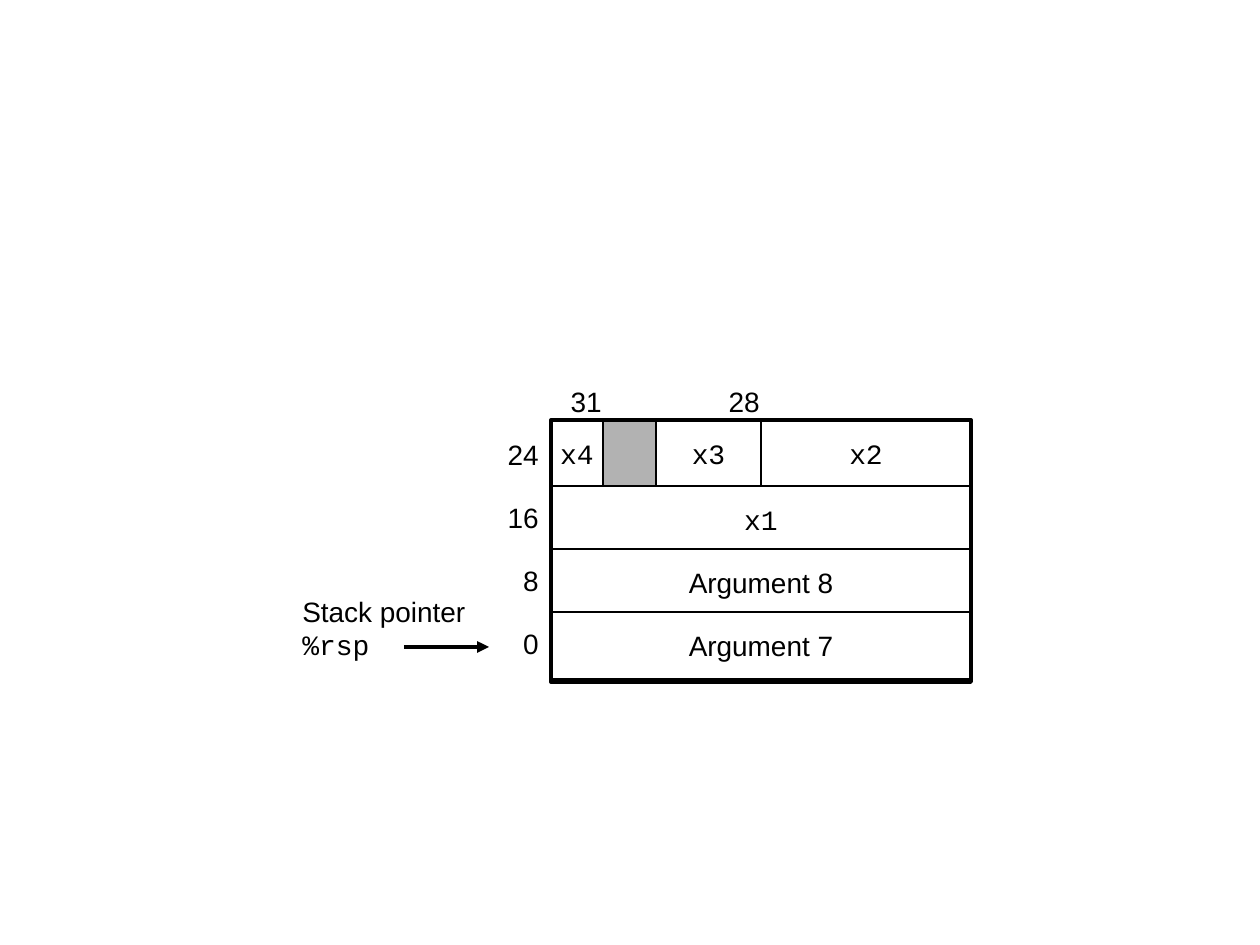
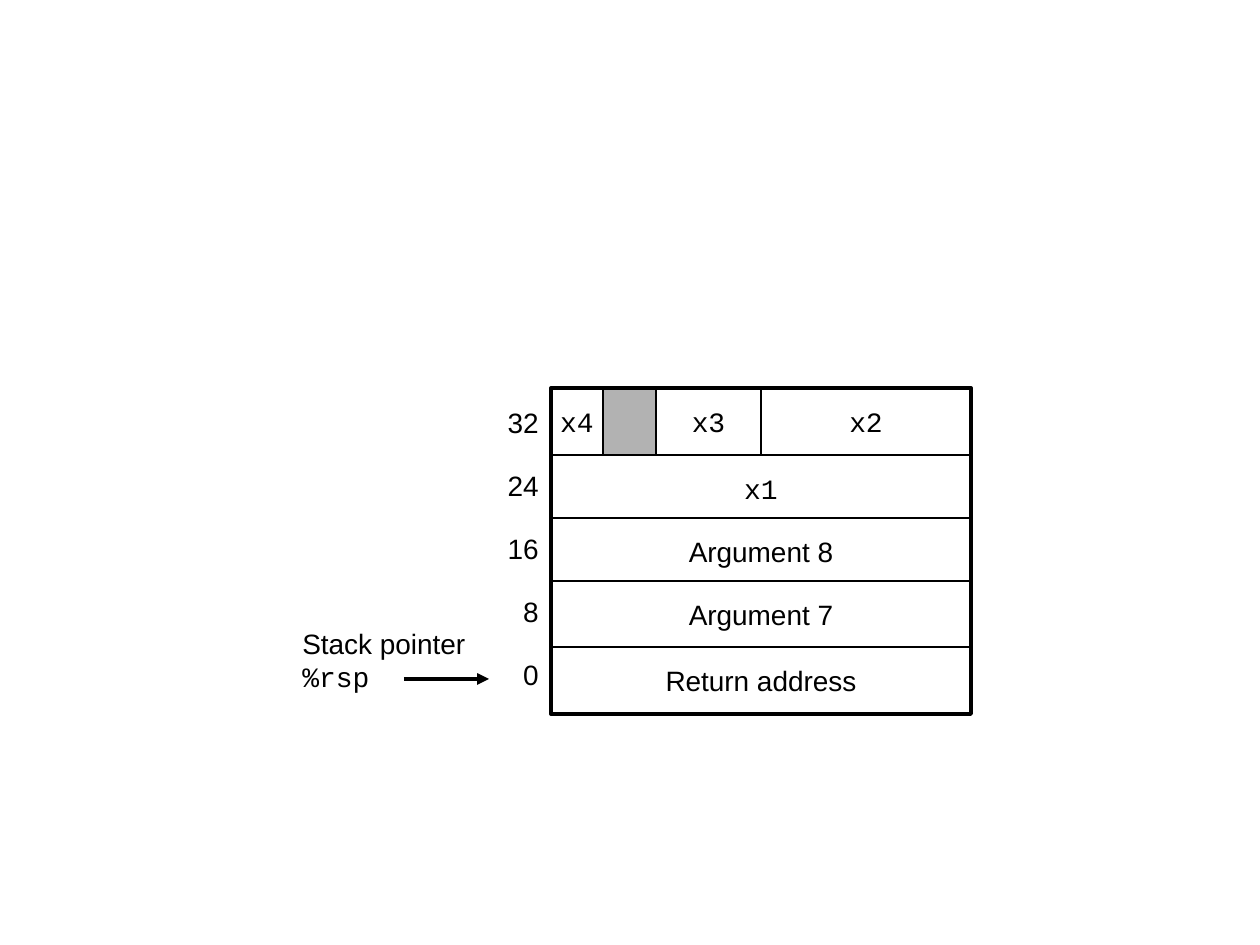
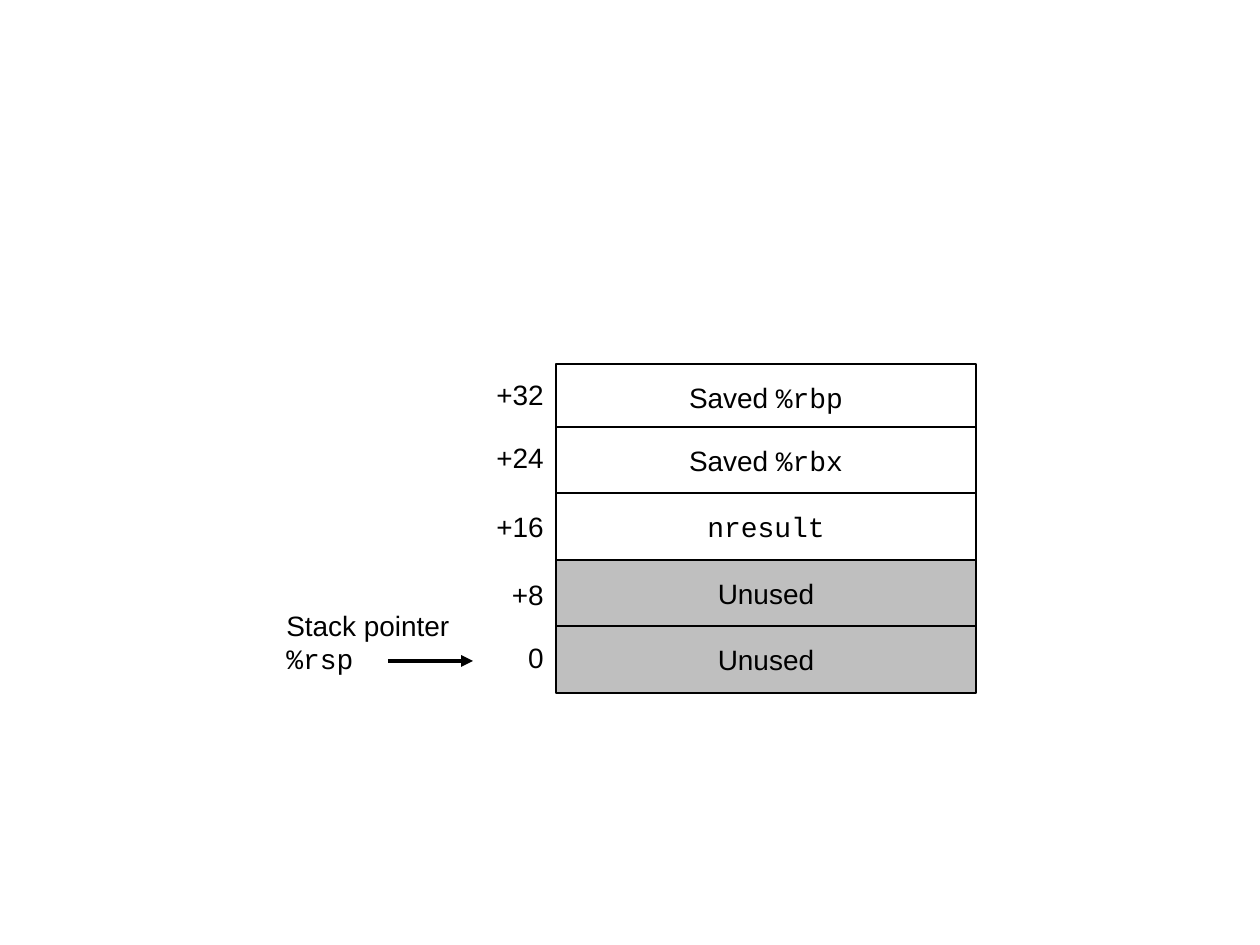
from dataclasses import dataclass

from pptx import Presentation
from pptx.dml.color import RGBColor
from pptx.enum.shapes import MSO_CONNECTOR as Connector, MSO_SHAPE as Shape
from pptx.enum.text import MSO_ANCHOR as Anchor, MSO_AUTO_SIZE as AutoSize, PP_ALIGN as Align
from pptx.oxml.ns import qn
from pptx.util import Emu, Inches, Pt
from lxml.etree import SubElement

PX = Inches(1) / 126
ROW_WIDTH, ROW_HEIGHT, WORD_BYTES = 420, 67, 8
LABEL_WIDTH, LABEL_HEIGHT, LABEL_PITCH = 84, 46, 63


@dataclass(frozen=True)
class Theme:
    sans: str = "Arial"
    mono: str = "Courier New"
    size: int = 16
    ink: str = "000000"
    paper: str = "FFFFFF"
    padding: str = "B2B2B2"
    unused: str = "BFBFBF"
    thin: float = 1
    thick: float = 2.25


THEME = Theme()


def px(*lengths):
    return [Emu(round(length * PX)) for length in lengths]


def color(value):
    return RGBColor.from_string(value)


def write(paragraph, runs, align):
    paragraph.alignment = align
    for text, font_name in runs:
        run = paragraph.add_run()
        run.text = text
        run.font.name = font_name
        run.font.size = Pt(THEME.size)
        run.font.color.rgb = color(THEME.ink)


def sans(text):
    return (text, THEME.sans)


def mono(text):
    return (text, THEME.mono)


def set_line(shape, width):
    shape.line.color.rgb = color(THEME.ink)
    shape.line.width = Pt(width)


def add_cell(slide, left, top, width, runs, fill=THEME.paper):
    shape = slide.shapes.add_shape(Shape.RECTANGLE, *px(left, top, width, ROW_HEIGHT))
    shape.shadow.inherit = False
    shape.fill.solid()
    shape.fill.fore_color.rgb = color(fill)
    set_line(shape, THEME.thin)
    text_frame = shape.text_frame
    text_frame.word_wrap = False
    text_frame.vertical_anchor = Anchor.MIDDLE
    write(text_frame.paragraphs[0], runs, Align.CENTER)


def add_rows(slide, left, rows):
    for top, runs, fill in rows:
        add_cell(slide, left, top, ROW_WIDTH, runs, fill)


def add_packed_row(slide, left, top):
    first_byte = 0
    for byte_count, name in ((1, "x4"), (1, None), (2, "x3"), (4, "x2")):
        start = first_byte * ROW_WIDTH // WORD_BYTES
        end = (first_byte + byte_count) * ROW_WIDTH // WORD_BYTES
        runs, fill = ([mono(name)], THEME.paper) if name else ([], THEME.padding)
        add_cell(slide, left + start, top, end - start, runs, fill)
        first_byte += byte_count


def add_frame(slide, left, top, height):
    shape = slide.shapes.add_shape(Shape.RECTANGLE, *px(left, top, ROW_WIDTH, height))
    shape.shadow.inherit = False
    shape.fill.background()
    set_line(shape, THEME.thick)


def add_text(shapes, left, top, width, height, lines, align, wrap):
    text_frame = shapes.add_textbox(*px(left, top, width, height)).text_frame
    text_frame.word_wrap = wrap
    text_frame.auto_size = AutoSize.SHAPE_TO_FIT_TEXT
    for index, run in enumerate(lines):
        paragraph = text_frame.add_paragraph() if index else text_frame.paragraphs[0]
        write(paragraph, [run], align)


def add_label(slide, right, top, text):
    add_text(slide.shapes, right - LABEL_WIDTH, top, LABEL_WIDTH, LABEL_HEIGHT,
             [sans(text)], Align.RIGHT, True)


def add_offsets(slide, right, first_top, offsets):
    for index, offset in enumerate(offsets):
        add_label(slide, right, first_top + index * LABEL_PITCH, offset)


def add_stack_pointer(slide, left, top):
    shapes = slide.shapes.add_group_shape().shapes
    add_text(shapes, left, top, 188, 81, [sans("Stack pointer"), mono("%rsp")], Align.LEFT, False)
    arrow = shapes.add_connector(Connector.STRAIGHT,
                                 *px(left + 114, top + 59, left + 199, top + 59))
    set_line(arrow, THEME.thick)
    SubElement(arrow.line._get_or_add_ln(), qn("a:tailEnd"), type="triangle")
    SubElement(arrow._element.spPr, qn("a:effectLst"))


def build_before_call(slide):
    left, top = 551, 420
    add_stack_pointer(slide, 290, 588)
    add_packed_row(slide, left, top)
    add_rows(slide, left, [
        (486, [mono("x1")], THEME.paper),
        (549, [sans("Argument 8")], THEME.paper),
        (612, [sans("Argument 7")], THEME.paper),
    ])
    add_frame(slide, left, top, 262)
    add_offsets(slide, left, 431, ["24", "16", "8", "0"])
    add_label(slide, 614, 378, "31")
    add_label(slide, 772, 378, "28")


def build_after_call(slide):
    left, top = 551, 388
    add_stack_pointer(slide, 290, 620)
    add_packed_row(slide, left, top)
    add_rows(slide, left, [
        (455, [mono("x1")], THEME.paper),
        (518, [sans("Argument 8")], THEME.paper),
        (581, [sans("Argument 7")], THEME.paper),
        (647, [sans("Return address")], THEME.paper),
    ])
    add_frame(slide, left, top, 326)
    add_offsets(slide, left, 399, ["32", "24", "16", "8", "0"])


def build_saved_registers(slide):
    left = 556
    add_stack_pointer(slide, 274, 602)
    add_rows(slide, left, [
        (364, [sans("Saved "), mono("%rbp")], THEME.paper),
        (427, [sans("Saved "), mono("%rbx")], THEME.paper),
        (493, [mono("nresult")], THEME.paper),
        (560, [sans("Unused")], THEME.unused),
        (626, [sans("Unused")], THEME.unused),
    ])
    add_offsets(slide, left, 371, ["+32", "+24"])
    add_label(slide, left, 503, "+16")
    add_offsets(slide, left, 571, ["+8", "0"])


def main():
    presentation = Presentation()
    presentation.slide_width, presentation.slide_height = px(1260, 945)
    blank_layout = presentation.slide_layouts[6]
    for build in (build_before_call, build_after_call, build_saved_registers):
        build(presentation.slides.add_slide(blank_layout))
    presentation.save("out.pptx")


if __name__ == "__main__":
    main()
